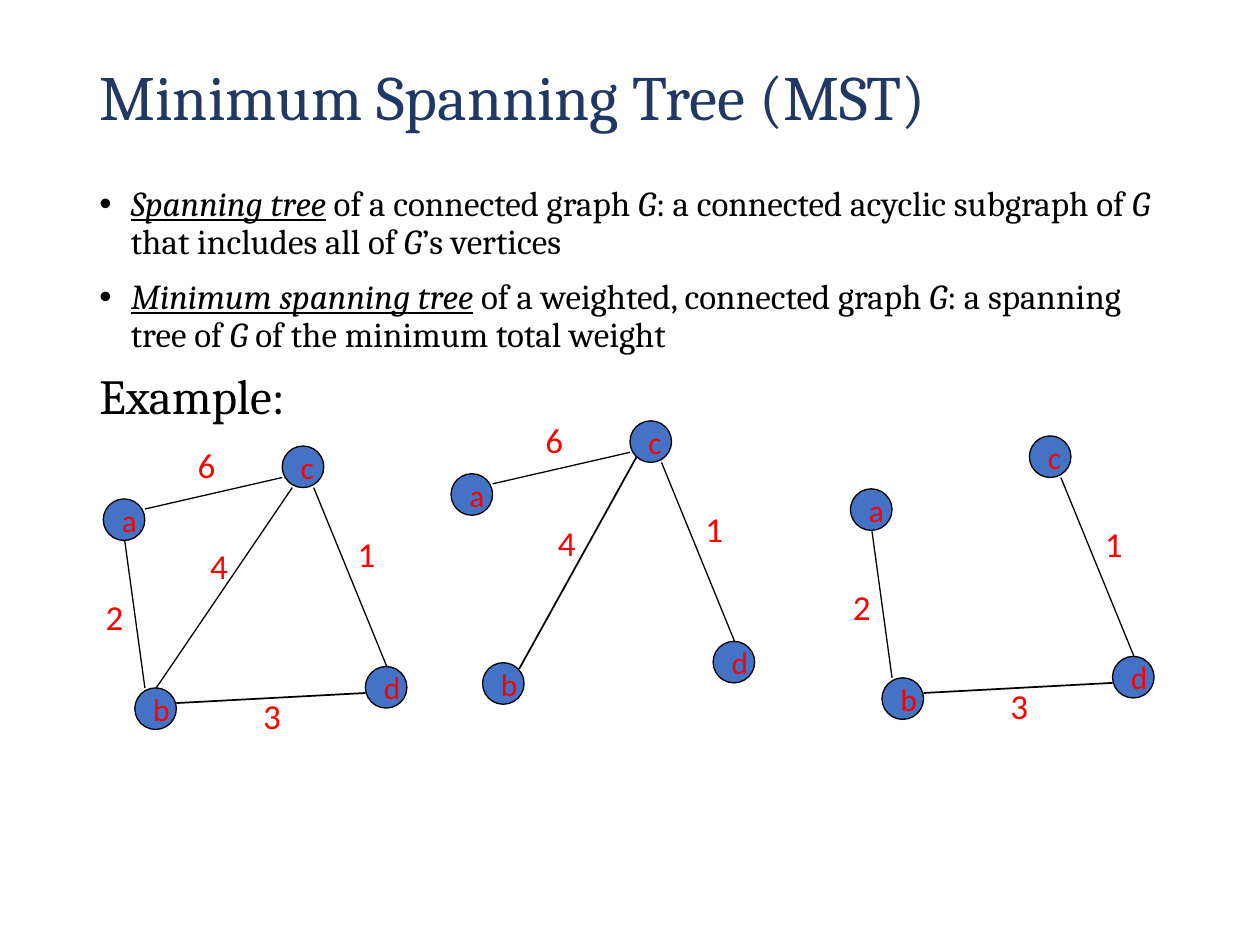
from pptx import Presentation
from pptx.dml.color import RGBColor
from pptx.enum import shapes, text
from pptx.oxml import parse_xml
from pptx.oxml.ns import nsdecls, qn
from pptx.util import Inches, Pt

COLORS = {"title": "203864", "body": "000000", "node": "4472C4",
          "line": "000000", "label": "FF0000"}
NODE_SIZE = 0.33

# Positions within a graph's box, in inches
NODES = {"c": (1.5, 0.07), "d": (2.16, 1.82), "b": (0.33, 1.99), "a": (0.08, 0.49)}
# Edge: start, end, line width, weight, weight position
EDGES = {
    "ac": ((0.41, 0.57), (1.5, 0.32), 0.75, "6", (0.73, 0)),
    "ab": ((0.41, 1.99), (0.25, 0.82), 0.75, "2", (0, 1.21)),
    "bc": ((0.5, 1.99), (1.58, 0.4), 0.75, "4", (0.83, 0.8)),
    "bd": ((0.66, 2.11), (2.16, 2.03), 1, "3", (1.25, 1.99)),
    "cd": ((2.33, 1.82), (1.75, 0.4), 0.75, "1", (2, 0.71)),
}
STEEP_BC = ((1.55, 0.36), (0.62, 2.04), 1, "4", (0.83, 0.82))

# Body paragraphs: bulleted, size, runs of (text, style)
BODY = [
    (True, 20, [("Spanning tree", "iu"), (" of a connected graph ", ""), ("G", "i"),
                (": a connected acyclic subgraph of ", ""), ("G ", "i"),
                ("that includes all of ", ""), ("G", "i"), ("’s vertices", "")]),
    (True, 20, [("Minimum spanning tree", "iu"),
                (" of a weighted, connected graph ", ""), ("G", "i"),
                (": a spanning tree of ", ""), ("G", "i"),
                (" of the minimum total weight", "")]),
    (False, 28, [("Example:", "")]),
]


def rgb(name):
    return RGBColor.from_string(COLORS[name])


def style_font(font, name, size, color):
    font.name, font.size = name, Pt(size)
    font.color.rgb = rgb(color)


def add_title(s, left, top, width, height):
    sp = s.shapes.title
    sp.left, sp.top, sp.width, sp.height = map(Inches, (left, top, width, height))
    tf = sp.text_frame
    tf.text = "Minimum Spanning Tree (MST)"
    tf.vertical_anchor = text.MSO_ANCHOR.MIDDLE
    tf.auto_size = text.MSO_AUTO_SIZE.NONE
    p = tf.paragraphs[0]
    p.alignment = text.PP_ALIGN.LEFT
    p.line_spacing = 0.9
    style_font(p.runs[0].font, "Cambria", 36, "title")


def set_bullet(p, bulleted):
    pPr = p._p.get_or_add_pPr()
    pPr.set("marL", str(Inches(0.25)))
    pPr.set("indent", str(Inches(-0.25)))
    if bulleted:
        pPr.append(parse_xml(f'<a:buFont {nsdecls("a")} typeface="Arial"/>'))
        pPr.append(parse_xml(f'<a:buChar {nsdecls("a")} char="•"/>'))
    else:
        pPr.append(parse_xml(f'<a:buNone {nsdecls("a")}/>'))


def add_body(s, left, top, width, height):
    tf = s.shapes.add_textbox(*map(Inches, (left, top, width, height))).text_frame
    tf.word_wrap = True
    for i, (bulleted, size, runs) in enumerate(BODY):
        p = tf.add_paragraph() if i else tf.paragraphs[0]
        p.line_spacing, p.space_before = 0.9, Pt(10)
        set_bullet(p, bulleted)
        for words, style in runs:
            r = p.add_run()
            r.text = words
            style_font(r.font, "Cambria", size, "body")
            r.font.italic = "i" in style
            r.font.underline = "u" in style


def add_node(group, name, left, top):
    sp = group.shapes.add_shape(shapes.MSO_SHAPE.OVAL, Inches(left), Inches(top),
                                Inches(NODE_SIZE), Inches(NODE_SIZE))
    sp.shadow.inherit = False
    sp.fill.solid()
    sp.fill.fore_color.rgb = rgb("node")
    sp.line.color.rgb = rgb("line")
    sp.line.width = Pt(0.75)
    tf = sp.text_frame
    tf.text = name
    tf.word_wrap = False
    tf.vertical_anchor = text.MSO_ANCHOR.MIDDLE
    p = tf.paragraphs[0]
    p.alignment = text.PP_ALIGN.LEFT
    style_font(p.runs[0].font, "Calibri", 18, "label")


def add_edge(group, left, top, start, end, width, weight, label_at):
    line = group.shapes.add_connector(
        shapes.MSO_CONNECTOR.STRAIGHT,
        Inches(left + start[0]), Inches(top + start[1]),
        Inches(left + end[0]), Inches(top + end[1]))
    line.line.color.rgb = rgb("line")
    line.line.width = Pt(width)
    line._element.find(qn("p:spPr")).append(
        parse_xml(f'<a:effectLst {nsdecls("a")}/>'))

    label = group.shapes.add_textbox(Inches(left + label_at[0]),
                                     Inches(top + label_at[1]),
                                     Inches(0.34), Inches(0.44))
    tf = label.text_frame
    tf.text = weight
    tf.word_wrap = False
    tf.auto_size = text.MSO_AUTO_SIZE.SHAPE_TO_FIT_TEXT
    style_font(tf.paragraphs[0].runs[0].font, "Calibri", 20, "label")


def add_graph(s, left, top, edges):
    group = s.shapes.add_group_shape()
    for name, (x, y) in NODES.items():
        add_node(group, name, left + x, top + y)
    for edge in edges:
        add_edge(group, left, top, *edge)


def main():
    prs = Presentation()
    prs.slide_width, prs.slide_height = Inches(10), Inches(7.5)
    s = prs.slides.add_slide(prs.slide_layouts[5])

    # Heading and definitions
    add_title(s, 0.69, 0.34, 8.62, 0.91)
    add_body(s, 0.69, 1.43, 8.62, 4.24)

    # Weighted graph, minimum spanning tree, another spanning tree
    add_graph(s, 0.74, 3.47, EDGES.values())
    add_graph(s, 6.67, 3.39, [EDGES[k] for k in ("ab", "bd", "cd")])
    add_graph(s, 3.5, 3.27, [EDGES["ac"], STEEP_BC, EDGES["cd"]])

    prs.save("out.pptx")


if __name__ == "__main__":
    main()
